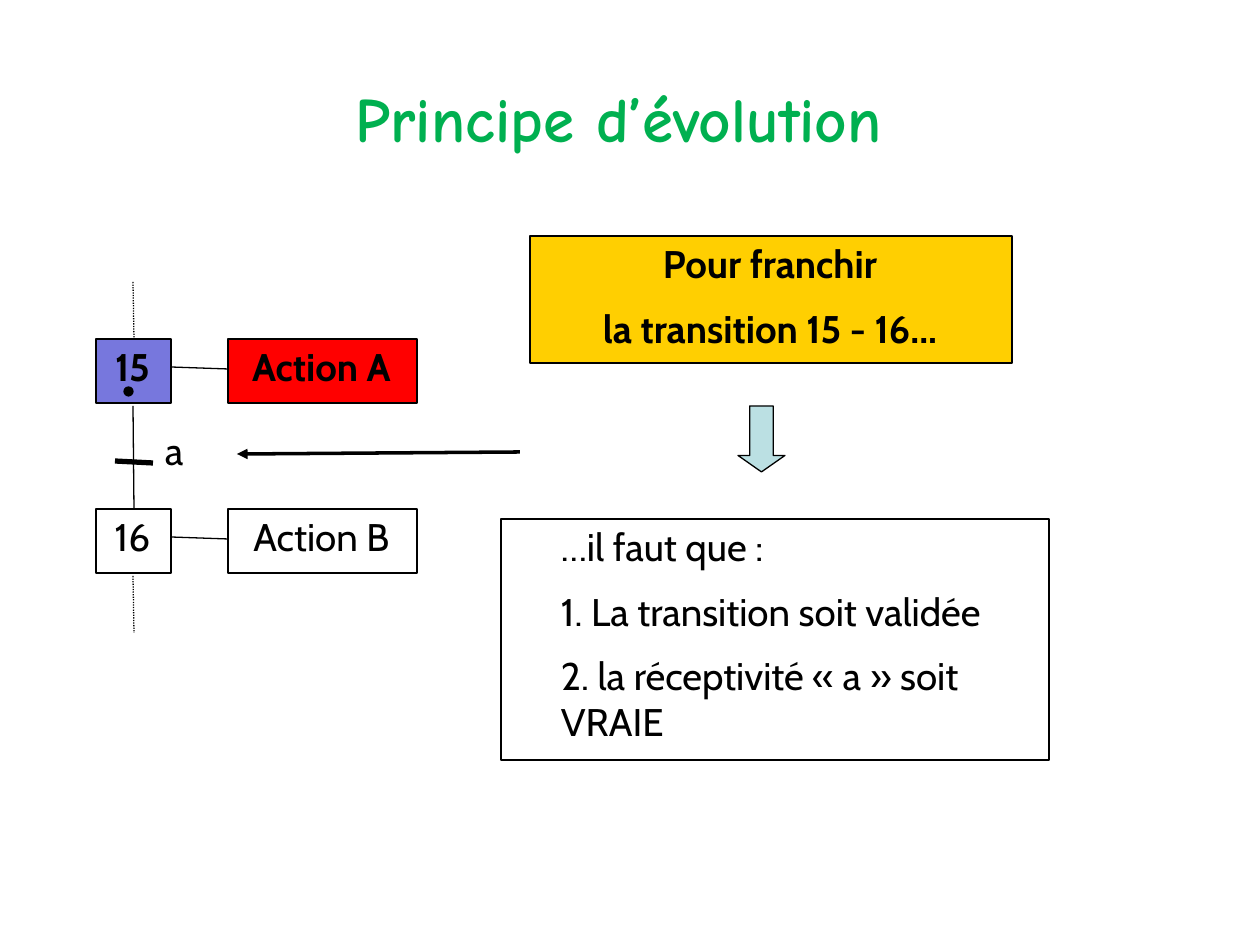
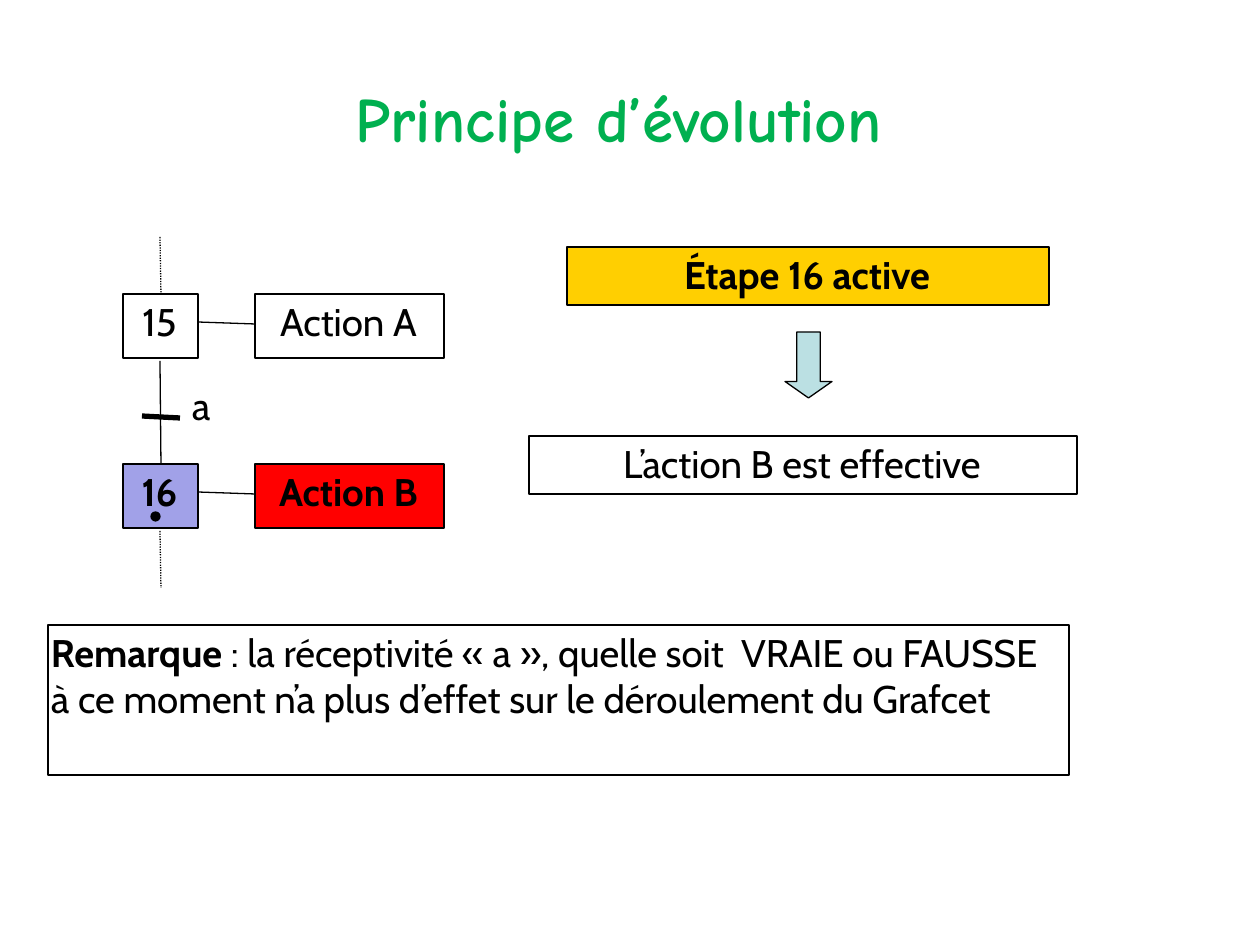
from lxml.etree import SubElement
from pptx import Presentation
from pptx.dml.color import RGBColor
from pptx.enum.dml import MSO_LINE
from pptx.enum.shapes import MSO_CONNECTOR, MSO_SHAPE
from pptx.enum.text import MSO_ANCHOR, PP_ALIGN
from pptx.oxml.ns import qn
from pptx.util import Pt

TITLE = "Principe d’évolution "
STEPS = [("15", "Action A"), ("16", "Action B")]
SLIDES = [
    {
        "grafcet": (96, 339), "active": 0, "active_fill": "7777DD",
        "heading": ["Pour franchir", "la transition 15 - 16..."],
        "heading_at": (530, 236, 482, 127),
        "down_arrow": (738, 406),
        "result": ["…il faut que :", "1. La transition soit validée",
                   "2. la réceptivité « a » soit VRAIE"],
        "result_at": (501, 519, 548, 241), "result_indent": 57,
        "pointer": ((520, 452), (237, 454)),
    },
    {
        "grafcet": (123, 294), "active": 1, "active_fill": "A1A1E8",
        "heading": ["Étape 16 active"],
        "heading_at": (567, 247, 482, 58),
        "down_arrow": (785, 332),
        "result": ["L’action B est effective"],
        "result_at": (529, 436, 548, 58),
        "remark": ("Remarque", " : la réceptivité « a », quelle soit  VRAIE ou FAUSSE "
                   "à ce moment n’a plus d’effet sur le déroulement du Grafcet"),
        "remark_at": (48, 625, 1021, 150),
    },
]

BODY_FONT, TITLE_FONT = "Cabin", "Comic Neue"
BLACK, GREEN, RED, YELLOW, PALE_BLUE = "000000", "00B050", "FF0000", "FFCF01", "BBE0E3"
STEP_WIDTH, ACTION_WIDTH, BOX_HEIGHT = 75, 189, 64
STEP_PITCH, ACTION_OFFSET = 170, 132
AXIS = 37


def px(length):
    return round(length * 914400 / 126)


def color(hex_string):
    return RGBColor.from_string(hex_string)


def format_font(font, name, size, hex_string, bold):
    font.name, font.size, font.bold = name, Pt(size), bold
    font.color.rgb = color(hex_string)


def add_figure(slide, kind, at, fill=None):
    """Add an outlined preset shape; without a fill it stays transparent."""
    shape = slide.shapes.add_shape(kind, *map(px, at))
    shape.shadow.inherit = False
    shape.line.color.rgb = color(BLACK)
    shape.line.width = Pt(0.75)
    if fill:
        shape.fill.solid()
        shape.fill.fore_color.rgb = color(fill)
    else:
        shape.fill.background()
    return shape


def write(shape, paragraphs, bold=False, align=PP_ALIGN.CENTER, indent=0):
    frame = shape.text_frame
    frame.word_wrap = True
    frame.vertical_anchor = MSO_ANCHOR.TOP
    frame.margin_left, frame.margin_top = px(3), px(5)
    frame.margin_right, frame.margin_bottom = px(5), 0
    frame.text = "\n".join(paragraphs)
    for paragraph in frame.paragraphs:
        paragraph.alignment = align
        paragraph.line_spacing = Pt(26.1)
        if paragraph is not frame.paragraphs[-1]:
            paragraph.space_after = Pt(10.7)
        if indent:
            properties = paragraph._p.get_or_add_pPr()
            properties.set("marL", str(px(indent)))
            properties.set("indent", "0")
        for run in paragraph.runs:
            format_font(run.font, BODY_FONT, 22, BLACK, bold)
    # The last paragraph closes the box, so it carries no gap.
    frame.paragraphs[-1].space_after = Pt(0)


def add_box(slide, at, paragraphs, fill=None, **text_format):
    shape = add_figure(slide, MSO_SHAPE.RECTANGLE, at, fill)
    write(shape, paragraphs, **text_format)
    return shape


def add_line(slide, start, end, width=0.75, dotted=False, arrow=False):
    connector = slide.shapes.add_connector(
        MSO_CONNECTOR.STRAIGHT, *map(px, (*start, *end)))
    connector.line.color.rgb = color(BLACK)
    connector.line.width = Pt(width)
    if dotted:
        connector.line.dash_style = MSO_LINE.ROUND_DOT
    if arrow:
        SubElement(connector.line._get_or_add_ln(), qn("a:tailEnd"), type="triangle")
    SubElement(connector._element.spPr, qn("a:effectLst"))


def add_title(slide):
    title = slide.shapes.title
    title.left, title.top, title.width, title.height = map(px, (63, 38, 1134, 158))
    frame = title.text_frame
    frame.text = TITLE
    frame.vertical_anchor = MSO_ANCHOR.MIDDLE
    paragraph = frame.paragraphs[0]
    paragraph.alignment = PP_ALIGN.CENTER
    format_font(paragraph.runs[0].font, TITLE_FONT, 36, GREEN, True)


def add_grafcet(slide, origin, active, active_fill):
    """Draw the two steps, their actions and the transition between them."""
    left, top = origin

    def at(x, y):
        return left + x, top + y

    for index, (step, action) in enumerate(STEPS):
        y = index * STEP_PITCH
        is_active = index == active
        add_box(slide, (*at(0, y), STEP_WIDTH, BOX_HEIGHT), [step],
                active_fill if is_active else None, bold=is_active)
        add_box(slide, (*at(ACTION_OFFSET, y), ACTION_WIDTH, BOX_HEIGHT), [action],
                RED if is_active else None, bold=is_active)
        add_line(slide, at(STEP_WIDTH, y + 28), at(ACTION_OFFSET, y + 30))

    for start, end, dotted in [(-57, 0, True), (67, STEP_PITCH, False), (237, 294, True)]:
        add_line(slide, at(AXIS, start), at(AXIS + 1, end), dotted=dotted)
    add_line(slide, at(19, 122), at(57, 124), width=3)

    label = slide.shapes.add_textbox(*map(px, (*at(66, 84), 56, 50)))
    write(label, ["a"], align=PP_ALIGN.LEFT)
    add_figure(slide, MSO_SHAPE.OVAL, (*at(28, 48 + active * STEP_PITCH), 9, 9), BLACK)


def add_remark(slide, at, lead, rest):
    box = add_box(slide, at, [lead], bold=True, align=PP_ALIGN.LEFT)
    run = box.text_frame.paragraphs[0].add_run()
    run.text = rest
    format_font(run.font, BODY_FONT, 22, BLACK, False)


def add_content(slide, content):
    add_title(slide)
    add_grafcet(slide, content["grafcet"], content["active"], content["active_fill"])
    add_box(slide, content["heading_at"], content["heading"], YELLOW, bold=True)
    arrow = add_figure(slide, MSO_SHAPE.DOWN_ARROW, (*content["down_arrow"], 47, 66), PALE_BLUE)
    arrow.adjustments[0], arrow.adjustments[1] = 0.5, 0.35
    indent = content.get("result_indent", 0)
    add_box(slide, content["result_at"], content["result"], indent=indent,
            align=PP_ALIGN.LEFT if indent else PP_ALIGN.CENTER)
    if "pointer" in content:
        add_line(slide, *content["pointer"], width=2, arrow=True)
    if "remark" in content:
        add_remark(slide, content["remark_at"], *content["remark"])


def main():
    presentation = Presentation()
    presentation.slide_width, presentation.slide_height = px(1260), px(945)
    title_only = presentation.slide_layouts[5]
    for content in SLIDES:
        add_content(presentation.slides.add_slide(title_only), content)
    presentation.save("out.pptx")


if __name__ == "__main__":
    main()
